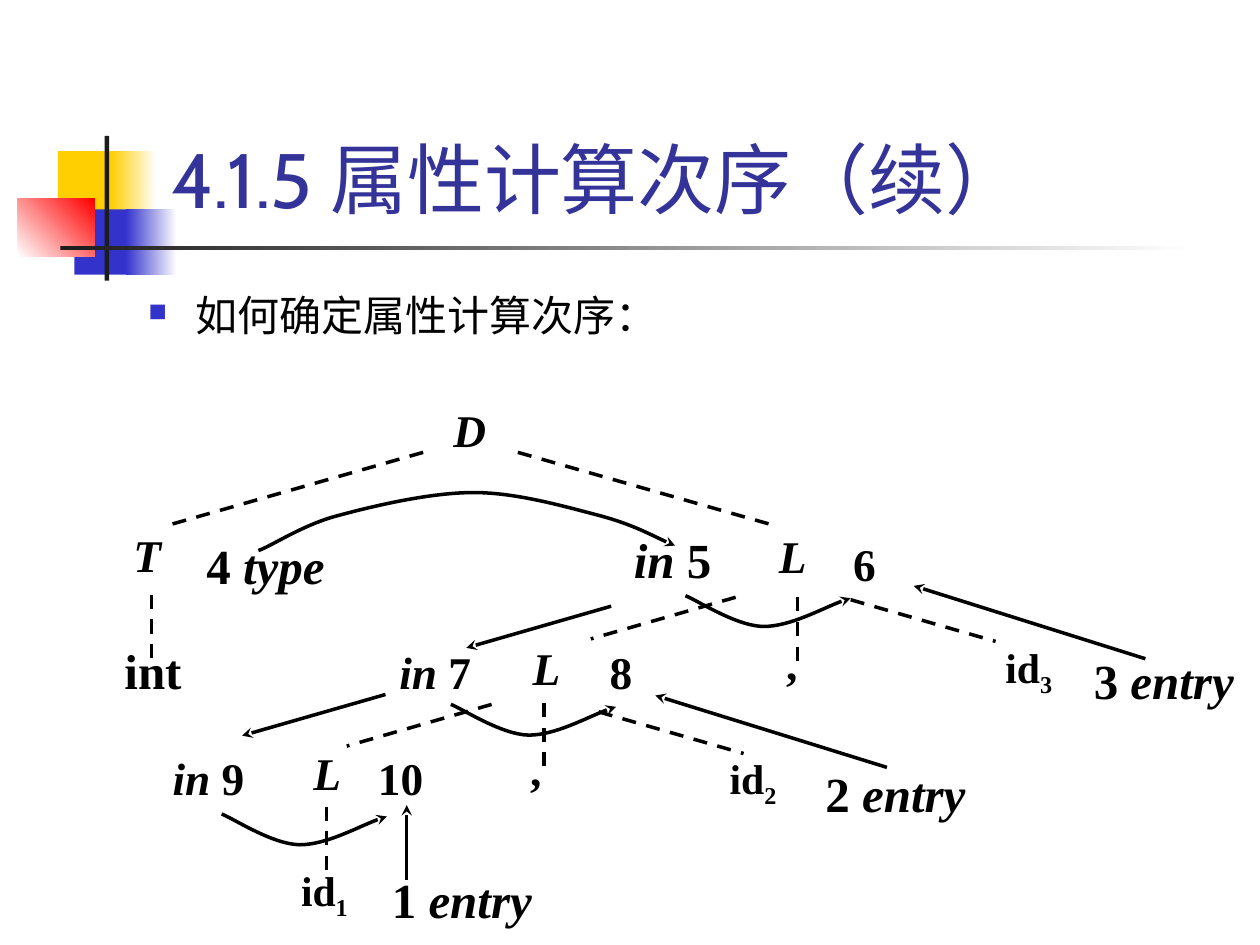
from pptx import Presentation
from pptx.dml.color import RGBColor
from pptx.enum.dml import MSO_LINE
from pptx.enum.shapes import MSO_CONNECTOR, MSO_SHAPE
from pptx.enum.text import MSO_ANCHOR, MSO_AUTO_SIZE, PP_ALIGN
from pptx.oxml.ns import qn
from pptx.oxml.xmlchemy import OxmlElement
from pptx.util import Cm, Pt

DASH = MSO_LINE.DASH
STRAIGHT = MSO_CONNECTOR.STRAIGHT
RECTANGLE = MSO_SHAPE.RECTANGLE
BOTTOM = MSO_ANCHOR.BOTTOM
NO_AUTOFIT = MSO_AUTO_SIZE.NONE
LEFT = PP_ALIGN.LEFT

BLACK = RGBColor(0x00, 0x00, 0x00)
WHITE = RGBColor(0xFF, 0xFF, 0xFF)
YELLOW = RGBColor(0xFF, 0xCF, 0x01)
BLUE = RGBColor(0x33, 0x33, 0xCC)
RED = RGBColor(0xFF, 0x00, 0x00)
CHARCOAL = RGBColor(0x1C, 0x1C, 0x1C)
TITLE_BLUE = RGBColor(0x33, 0x33, 0x99)


def add_run(paragraph, text, size=25.9, font="Times New Roman", color=BLACK,
            bold=True, italic=False, subscript=False):
    run = paragraph.add_run()
    run.text = text
    run.font.name = font
    run.font.size = Pt(size)
    run.font.bold = bold
    run.font.italic = italic
    run.font.color.rgb = color
    if subscript:
        run.font._element.set("baseline", "-25000")


def style_line(shape, dashed=False, arrow=False):
    shape.line.color.rgb = BLACK
    shape.line.width = Pt(2)
    if dashed:
        shape.line.dash_style = DASH
    properties = shape._element.spPr
    if arrow:
        tail = OxmlElement("a:tailEnd")
        tail.set("type", "stealth")
        properties.find(qn("a:ln")).append(tail)
    properties.append(OxmlElement("a:effectLst"))


presentation = Presentation()
presentation.slide_width = Cm(25.4)
presentation.slide_height = Cm(19.05)
slide = presentation.slides.add_slide(presentation.slide_layouts[5])
shapes = slide.shapes

# Corner decoration: left, top, width, height, colours, gradient angle
decoration = [
    (1.17, 3.05, 1.22, 1.32, [YELLOW], 0),
    (2.24, 3.05, 0.91, 1.32, [YELLOW, WHITE], 0),
    (1.5, 4.22, 1.17, 1.32, [BLUE], 0),
    (2.54, 4.22, 1.02, 1.32, [BLUE, WHITE], 0),
    (0.36, 4.01, 1.55, 1.17, [WHITE, RED], 45),
    (2.11, 2.74, 0.09, 2.92, [CHARCOAL], 0),
    (1.22, 4.95, 22.86, 0.09, [CHARCOAL, WHITE], 0),
]
for left, top, width, height, colors, angle in decoration:
    block = shapes.add_shape(RECTANGLE, Cm(left), Cm(top), Cm(width), Cm(height))
    block.shadow.inherit = False
    block.line.fill.background()
    if len(colors) == 1:
        block.fill.solid()
        block.fill.fore_color.rgb = colors[0]
    else:
        block.fill.gradient()
        block.fill.gradient_angle = angle
        for stop, color in zip(block.fill.gradient_stops, colors):
            stop.color.rgb = color

# Title
title = shapes.title
title.left, title.top, title.width, title.height = Cm(3.2), Cm(0.58), Cm(21.64), Cm(4.06)
title.text_frame.vertical_anchor = BOTTOM
title.text_frame.auto_size = NO_AUTOFIT
paragraph = title.text_frame.paragraphs[0]
paragraph.alignment = LEFT
add_run(paragraph, "4.1.5 属性计算次序（续）", size=44, font="Cabin",
        color=TITLE_BLUE, bold=False)

# Bulleted question
body = shapes.add_textbox(Cm(2.74), Cm(5.72), Cm(20.32), Cm(11.43))
body.text_frame.word_wrap = True
paragraph = body.text_frame.paragraphs[0]
paragraph_properties = paragraph._p.get_or_add_pPr()
paragraph_properties.set("marL", str(Cm(0.95)))
paragraph_properties.set("indent", str(Cm(-0.95)))
bullet_color = OxmlElement("a:buClr")
color_value = OxmlElement("a:srgbClr")
color_value.set("val", str(BLUE))
bullet_color.append(color_value)
bullet_size = OxmlElement("a:buSzPct")
bullet_size.set("val", "60000")
bullet = OxmlElement("a:buChar")
bullet.set("char", "■")
for element in (bullet_color, bullet_size, bullet):
    paragraph_properties.append(element)
add_run(paragraph, "如何确定属性计算次序：", size=24, bold=False)

# Tree labels: left, top, width, height, size, runs (text, style)
ITALIC = {"italic": True}
SUBSCRIPT = {"subscript": True}
labels = [
    (9.09, 8.08, 1.09, 1.17, 25.9, [("D", ITALIC)]),
    (2.64, 10.59, 1.63, 1.22, 25.9, [("T", ITALIC)]),
    (2.46, 12.88, 3, 1.3, 28, [("int", {})]),
    (4.11, 10.77, 2.69, 1.4, 28, [("4 ", {}), ("type", ITALIC)]),
    (12.73, 10.64, 2.51, 1.3, 28, [("in ", ITALIC), ("5", {})]),
    (15.65, 10.62, 1.5, 1.22, 25.9, [("L", ITALIC)]),
    (17.15, 10.77, 1.22, 1.22, 25.9, [("6", {})]),
    (8, 12.95, 1.88, 1.22, 25.9, [("in ", ITALIC), ("7", {})]),
    (10.69, 12.88, 1.3, 1.22, 25.9, [("L", ITALIC)]),
    (12.24, 12.95, 1.22, 1.22, 25.9, [("8", {})]),
    (15.8, 12.78, 1.09, 1.17, 25.9, [(",", {})]),
    (20.22, 12.9, 2.5, 1.22, 23.8, [("id", {}), ("3", SUBSCRIPT)]),
    (22, 13.08, 2.97, 1.35, 28, [("3 ", {}), ("entry", ITALIC)]),
    (3.43, 15.09, 1.88, 1.17, 25.9, [("in ", ITALIC), ("9", {})]),
    (6.27, 14.99, 1.22, 1.22, 25.9, [("L", ITALIC)]),
    (7.57, 15.09, 1.22, 1.22, 25.9, [("10", {})]),
    (10.64, 14.91, 1.09, 1.17, 25.9, [(",", {})]),
    (14.66, 15.14, 2.5, 1.22, 23.8, [("id", {}), ("2", SUBSCRIPT)]),
    (16.59, 15.37, 2.97, 1.35, 28, [("2 ", {}), ("entry", ITALIC)]),
    (6.02, 17.4, 2.5, 1.22, 23.8, [("id", {}), ("1", SUBSCRIPT)]),
    (7.85, 17.5, 2.97, 1.35, 28, [("1 ", {}), ("entry", ITALIC)]),
]
for left, top, width, height, size, runs in labels:
    label = shapes.add_textbox(Cm(left), Cm(top), Cm(width), Cm(height))
    frame = label.text_frame
    frame.word_wrap = True
    frame.margin_left = frame.margin_right = Cm(0.05)
    frame.margin_top = frame.margin_bottom = Cm(0.03)
    for text, style in runs:
        add_run(frame.paragraphs[0], text, size=size, **style)

# Dashed tree edges and straight dependency arrows
tree_edges = [
    (8.53, 9.12, 3.38, 10.59), (10.44, 9.12, 15.6, 10.59),
    (3.05, 11.99, 3.05, 13.28),
    (14.83, 12.04, 11.91, 12.88), (16.08, 12.04, 16.08, 13.34),
    (17.15, 12.09, 20.07, 12.93),
    (9.91, 14.2, 6.99, 15.04), (10.97, 14.17, 10.97, 15.47),
    (12.07, 14.35, 14.99, 15.19),
    (6.58, 16.26, 6.58, 17.55),
]
dependencies = [
    (8.2, 17.73, 8.2, 16.23),
    (12.32, 12.22, 9.4, 13.06), (7.77, 14, 4.88, 14.83),
    (23.09, 13.28, 18.42, 11.81), (17.88, 15.47, 13.21, 14.02),
]
for lines, is_edge in ((tree_edges, True), (dependencies, False)):
    for ends in lines:
        connector = shapes.add_connector(STRAIGHT, *[Cm(value) for value in ends])
        style_line(connector, dashed=is_edge, arrow=not is_edge)

# Curved dependency arrows: start, then three Bezier points per segment
type_to_in = [
    (5.21, 11.1), (5.49, 11), (6.12, 10.57), (6.83, 10.39),
    (7.57, 10.19), (8.69, 9.93), (9.55, 9.93),
    (10.41, 9.93), (11.38, 10.21), (12.07, 10.39),
    (12.75, 10.57), (13.28, 10.87), (13.61, 11),
]
dip = [(0, 0), (0.25, 0.1), (1.02, 0.61), (1.57, 0.62),
       (2.11, 0.62), (2.95, 0.15), (3.33, 0.05)]
dip_starts = [(4.47, 16.41), (9.09, 14.2), (13.82, 12.01)]
curves = [type_to_in] + [[(x + dx, y + dy) for dx, dy in dip] for x, y in dip_starts]
for curve in curves:
    points = [(Cm(x), Cm(y)) for x, y in curve]
    builder = shapes.build_freeform(*points[0])
    builder.add_line_segments(points[1:], close=False)
    arc = builder.convert_to_shape()
    arc.fill.background()
    style_line(arc, arrow=True)
    path_element = next(arc._element.iter(qn("a:path")))
    segments = path_element.findall(qn("a:lnTo"))
    for first in range(0, len(segments), 3):
        bezier = OxmlElement("a:cubicBezTo")
        for segment in segments[first:first + 3]:
            bezier.append(segment[0])
            path_element.remove(segment)
        path_element.append(bezier)

presentation.save("out.pptx")
